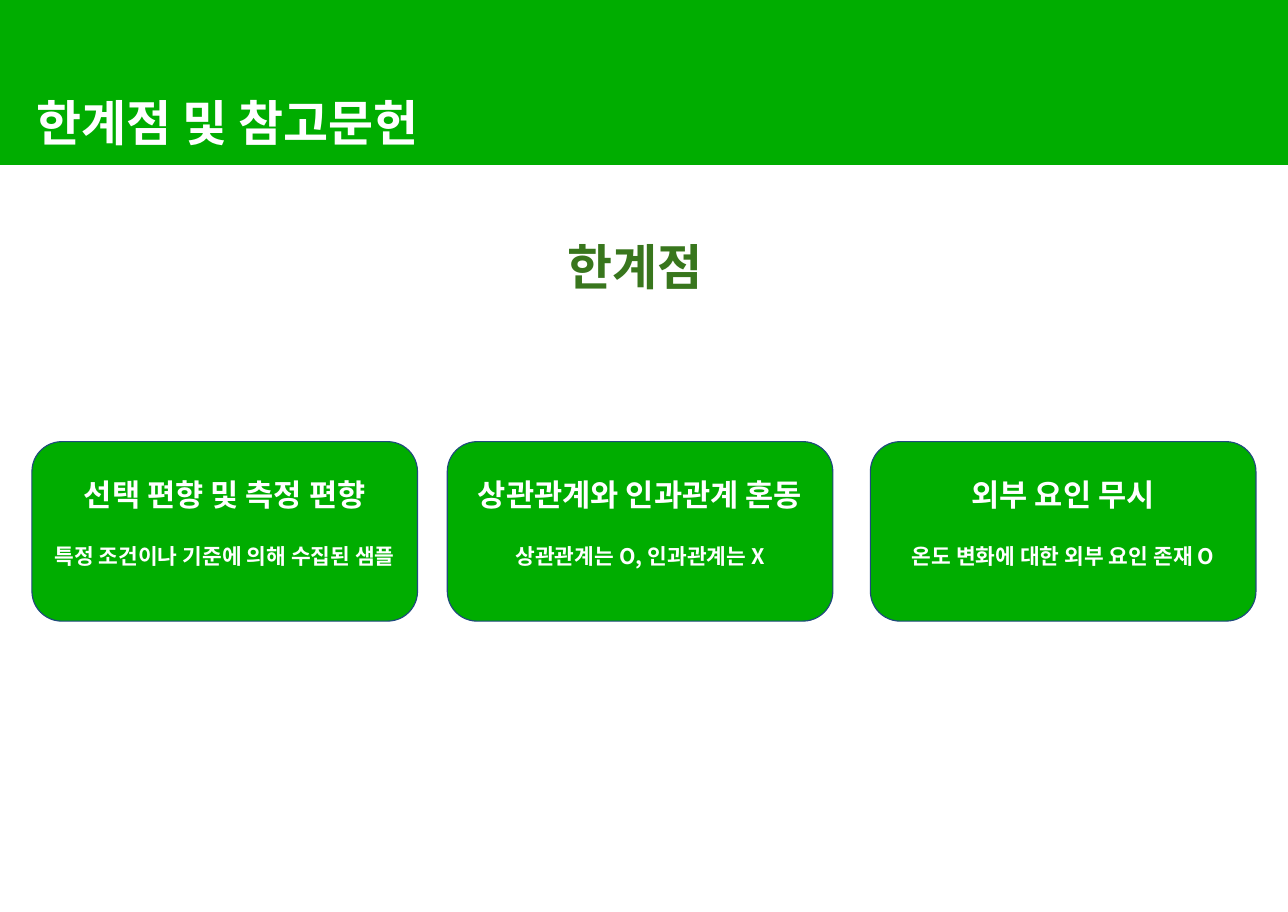
from lxml.etree import SubElement
from pptx import Presentation
from pptx.dml.color import RGBColor
from pptx.enum.shapes import MSO_SHAPE as Preset
from pptx.enum.text import MSO_ANCHOR as Anchor, MSO_AUTO_SIZE as AutoSize, PP_ALIGN as Align
from pptx.oxml.ns import qn
from pptx.util import Pt

PX = 9144  # 100 px to the inch
GREEN = RGBColor(0x00, 0xAD, 0x00)
DARK_GREEN = RGBColor(0x38, 0x76, 0x1D)
NAVY = RGBColor(0x1F, 0x49, 0x7D)
WHITE = RGBColor(0xFF, 0xFF, 0xFF)
FONT = "Noto Sans CJK KR"
TITLE_ONLY = 5

SLIDE_WIDTH, SLIDE_HEIGHT = 1169, 828
CARD_TOP, CARD_WIDTH, CARD_HEIGHT = 401, 350, 163
CARDS = [
    (29, "선택 편향 및 측정 편향", "특정 조건이나 기준에 의해 수집된 샘플"),
    (406, "상관관계와 인과관계 혼동", "상관관계는 O, 인과관계는 X"),
    (790, "외부 요인 무시", "온도 변화에 대한 외부 요인 존재 O"),
]


def write(paragraph, text, size=32, color=WHITE, align=Align.LEFT, spacing=None, before=0):
    paragraph.alignment = align
    paragraph.line_spacing = spacing
    paragraph.space_before = Pt(before)
    run = paragraph.add_run()
    run.text = text
    font = run.font
    font.name, font.size, font.bold = FONT, Pt(size), True
    font.color.rgb = color
    SubElement(font._element, qn("a:ea"), typeface=FONT)


class Page:
    """Draws elements on one slide, with lengths in px."""

    def __init__(self, slide):
        self.slide = slide

    def frame(self, shape, side=10, top=10):
        """Set the text margins, wrapping and top anchor of a shape."""
        text = shape.text_frame
        text.word_wrap = True
        text.auto_size = AutoSize.NONE
        text.vertical_anchor = Anchor.TOP
        text.margin_left = text.margin_right = side * PX
        text.margin_top = text.margin_bottom = top * PX
        return text

    def block(self, preset, left, top, width, height, line):
        shape = self.slide.shapes.add_shape(preset, left * PX, top * PX, width * PX, height * PX)
        shape.shadow.inherit = False
        shape.fill.solid()
        shape.fill.fore_color.rgb = GREEN
        shape.line.color.rgb = line
        shape.line.width = Pt(0.75)
        return shape

    def header(self, text):
        """Place the slide title on a full-width band."""
        band = self.block(Preset.RECTANGLE, 0, 0, SLIDE_WIDTH, 149, GREEN)
        title = self.slide.shapes.title
        title.left, title.top, title.width, title.height = 23 * PX, 74 * PX, 728 * PX, 74 * PX
        band.element.addnext(title.element)
        write(self.frame(title).paragraphs[0], text)

    def subtitle(self, text):
        box = self.slide.shapes.add_textbox(505 * PX, 178 * PX, 158 * PX, 86 * PX)
        write(self.frame(box).paragraphs[0], text, color=DARK_GREEN, spacing=1.5)

    def card(self, left, heading, detail):
        card = self.block(Preset.ROUNDED_RECTANGLE, left, CARD_TOP, CARD_WIDTH, CARD_HEIGHT, NAVY)
        text = self.frame(card, side=2, top=23)
        write(text.paragraphs[0], heading, size=20, align=Align.CENTER)
        write(text.add_paragraph(), detail, size=14, align=Align.CENTER, before=20)


def main():
    deck = Presentation()
    deck.slide_width, deck.slide_height = SLIDE_WIDTH * PX, SLIDE_HEIGHT * PX
    page = Page(deck.slides.add_slide(deck.slide_layouts[TITLE_ONLY]))
    page.header("한계점 및 참고문헌")
    page.subtitle("한계점")
    for left, heading, detail in CARDS:
        page.card(left, heading, detail)
    deck.save("out.pptx")


if __name__ == "__main__":
    main()
